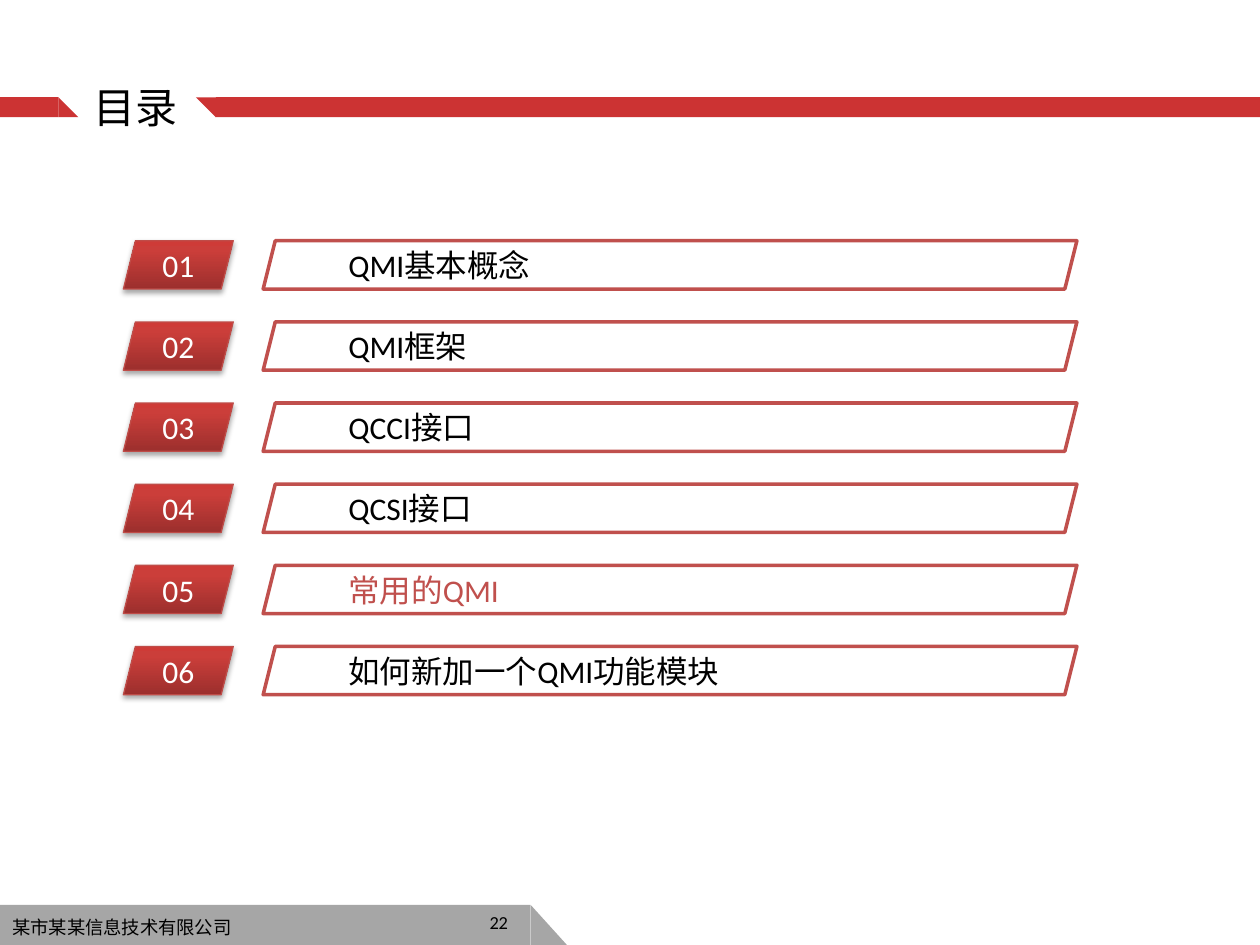
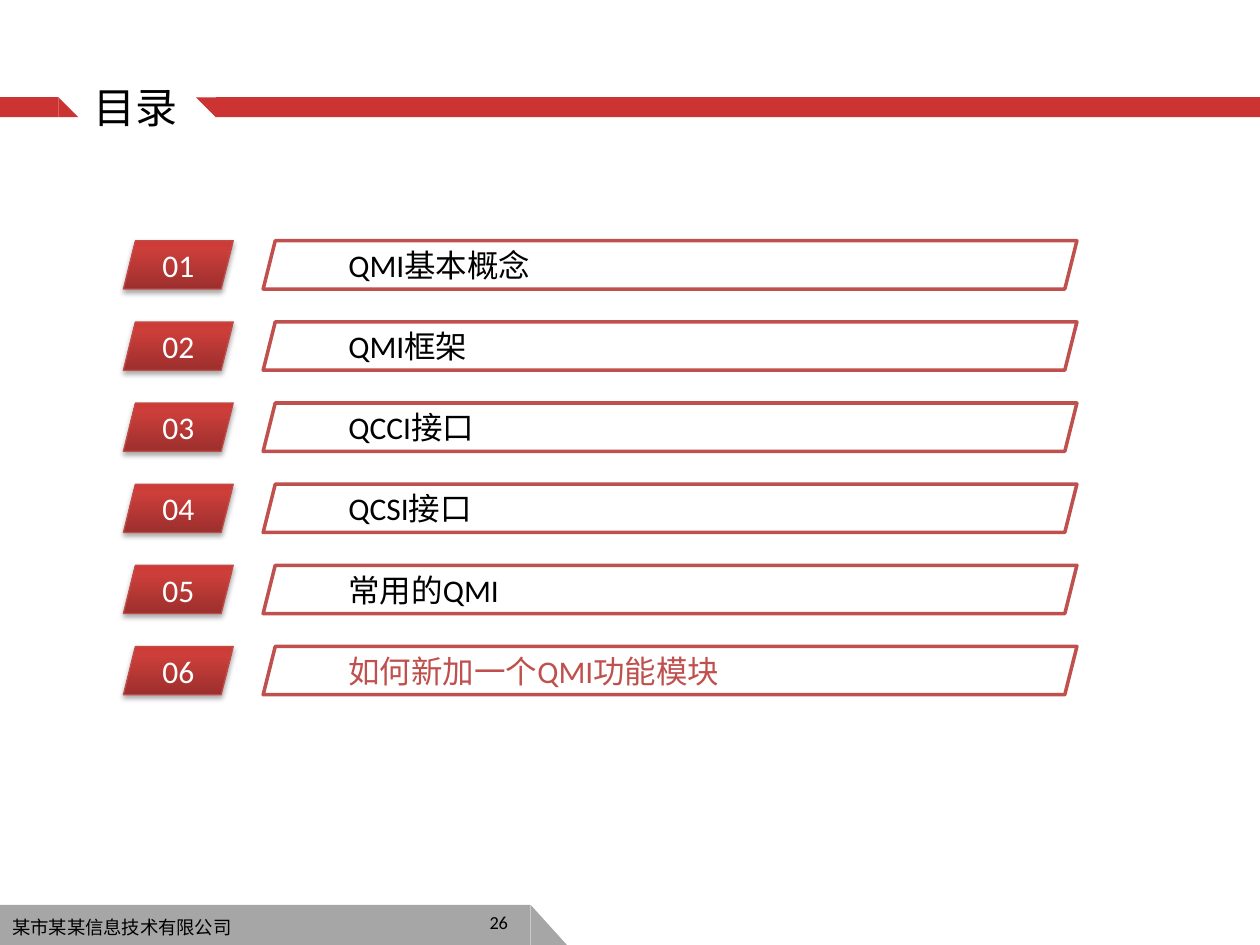
"""Build two agenda slides that highlight the current chapter."""
from copy import deepcopy

from lxml.etree import SubElement
from pptx import Presentation
from pptx.dml.color import RGBColor
from pptx.enum.shapes import MSO_SHAPE
from pptx.enum.text import MSO_ANCHOR, MSO_AUTO_SIZE, PP_ALIGN
from pptx.oxml.ns import qn
from pptx.util import Pt

COLORS = {
    "band": "CC3333",
    "footer": "A6A6A6",
    "accent": "C0504D",
    "badge_line": "BF4C48",
    "badge_low": "9C2F2D",
    "badge_mid": "CB3E3A",
    "badge_top": "CE3B37",
    "black": "000000",
    "white": "FFFFFF",
}
LATIN_FONT = "Calibri"
CHINESE_FONT = "Noto Sans CJK SC"
FRAME_FORMAT = {
    "word_wrap": True,
    "auto_size": MSO_AUTO_SIZE.NONE,
    "vertical_anchor": MSO_ANCHOR.MIDDLE,
}
BADGE_STOPS = [(0, "badge_low"), (0.8, "badge_mid"), (1, "badge_top")]

TITLE = "目录"
COMPANY = "某市某某信息技术有限公司"
CHAPTERS = [
    "QMI基本概念",
    "QMI框架",
    "QCCI接口",
    "QCSI接口",
    "常用的QMI",
    "如何新加一个QMI功能模块",
]
PAGES = [("22", 5), ("26", 6)]

ROW_TOP, ROW_PITCH, ROW_HEIGHT = 137.6, 46.36, 27.6
BAND_TOP, BAND_HEIGHT = 55.6, 11.4
FOOTER_TOP, FOOTER_HEIGHT = 517, 23


def rgb(name):
    return RGBColor.from_string(COLORS[name])


def apply_format(target, values):
    for name, value in values.items():
        setattr(target, name, value)


def write(box, text, size, color="black", font=LATIN_FONT,
          align=PP_ALIGN.LEFT, anchor=MSO_ANCHOR.MIDDLE):
    frame = box.text_frame
    apply_format(frame, {**FRAME_FORMAT, "vertical_anchor": anchor})
    para = frame.paragraphs[0]
    para.alignment = align
    span = para.add_run()
    span.text = text
    apply_format(span.font, {"name": font, "size": Pt(size)})
    span.font.color.rgb = rgb(color)
    properties = span.font._element
    SubElement(properties, qn("a:ea"), typeface=CHINESE_FONT)


def add_box(page, kind, left, top, width, height, fill, line=None, line_width=0):
    box = page.shapes.add_shape(kind, Pt(left), Pt(top), Pt(width), Pt(height))
    box.shadow.inherit = False
    box.fill.solid()
    box.fill.fore_color.rgb = rgb(fill)
    if line:
        box.line.color.rgb = rgb(line)
        box.line.width = Pt(line_width)
    else:
        box.line.fill.background()
    return box


def add_label(page, left, top, width, height, text, **style):
    box = page.shapes.add_textbox(Pt(left), Pt(top), Pt(width), Pt(height))
    write(box, text, 10.5, **style)


def shade_badge(badge):
    badge.fill.gradient()
    properties = badge._element.spPr
    stop_list = properties.find(qn("a:gradFill")).find(qn("a:gsLst"))
    stop_list.append(deepcopy(stop_list[0]))
    for stop, (position, color) in zip(badge.fill.gradient_stops, BADGE_STOPS):
        stop.position = position
        stop.color.rgb = rgb(color)
    badge.fill.gradient_angle = 90


def drop_shadow(badge):
    effects = badge._element.spPr.find(qn("a:effectLst"))
    shadow = SubElement(effects, qn("a:outerShdw"), blurRad=str(Pt(3.1)),
                        dist=str(Pt(1.8)), dir="5400000", rotWithShape="0")
    color = SubElement(shadow, qn("a:srgbClr"), val=COLORS["black"])
    SubElement(color, qn("a:alpha"), val="35000")


def add_title(page):
    title = page.shapes.title
    apply_format(title, {"left": Pt(46.4), "top": Pt(43.2),
                         "width": Pt(108), "height": Pt(36)})
    write(title, TITLE, 24, font=CHINESE_FONT, anchor=MSO_ANCHOR.TOP)


def add_bands(page):
    bands = [
        (MSO_SHAPE.RECTANGLE, 0, 33.4, 0),
        (MSO_SHAPE.RIGHT_TRIANGLE, 33.4, BAND_HEIGHT, 0),
        (MSO_SHAPE.RECTANGLE, 123.4, 596.6, 0),
        (MSO_SHAPE.RIGHT_TRIANGLE, 112, BAND_HEIGHT, 180),
    ]
    for kind, left, width, rotation in bands:
        band = add_box(page, kind, left, BAND_TOP, width, BAND_HEIGHT, "band")
        band.rotation = rotation


def add_footer(page, number):
    for kind, left, width in [(MSO_SHAPE.RECTANGLE, 0, 303.2),
                              (MSO_SHAPE.RIGHT_TRIANGLE, 303.2, 20.8)]:
        add_box(page, kind, left, FOOTER_TOP, width, FOOTER_HEIGHT, "footer")
    add_label(page, 0, 519.8, 170, 20, COMPANY,
              font=CHINESE_FONT, anchor=MSO_ANCHOR.TOP)
    add_label(page, 129.6, 514.4, 167.8, 28.4 - 3, number, align=PP_ALIGN.RIGHT)


def add_chapter(page, number, text, is_current):
    top = ROW_TOP + (number - 1) * ROW_PITCH
    badge = add_box(page, MSO_SHAPE.PARALLELOGRAM, 70.5, top, 62.8, ROW_HEIGHT,
                    "badge_mid", "badge_line", 0.75)
    shade_badge(badge)
    drop_shadow(badge)
    write(badge, f"{number:02}", 18, "white", align=PP_ALIGN.CENTER)
    bar = add_box(page, MSO_SHAPE.PARALLELOGRAM, 150.4, top, 465, ROW_HEIGHT,
                  "white", "accent", 2)
    write(bar, text, 18, "accent" if is_current else "black")


def add_agenda(deck, page_number, current):
    page = deck.slides.add_slide(deck.slide_layouts.get_by_name("Title Only"))
    add_bands(page)
    add_title(page)
    add_footer(page, page_number)
    for number, text in enumerate(CHAPTERS, start=1):
        add_chapter(page, number, text, number == current)


def main():
    deck = Presentation()
    apply_format(deck, {"slide_width": Pt(720), "slide_height": Pt(540)})
    for page_number, current in PAGES:
        add_agenda(deck, page_number, current)
    deck.save("out.pptx")


if __name__ == "__main__":
    main()
